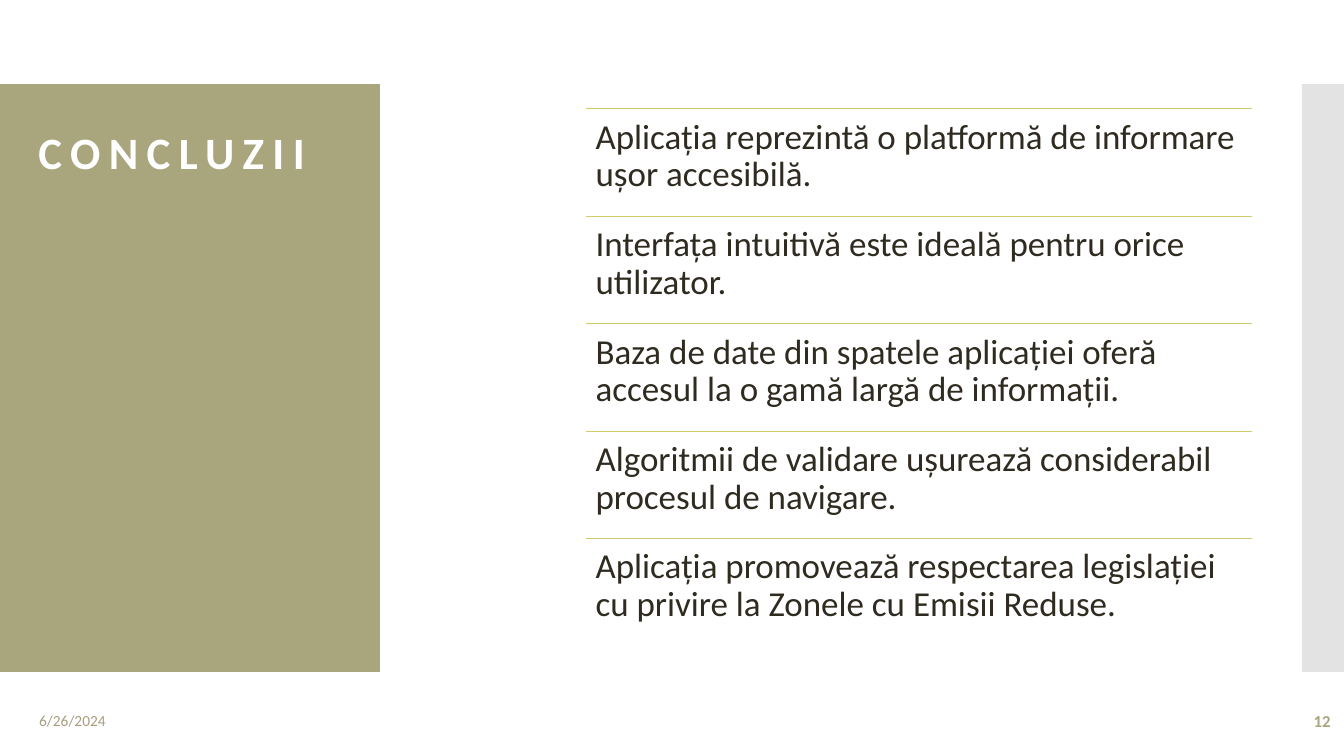
from lxml.etree import SubElement
from pptx import Presentation
from pptx.dml.color import RGBColor
from pptx.enum.shapes import MSO_CONNECTOR, MSO_SHAPE
from pptx.enum.text import MSO_ANCHOR, MSO_AUTO_SIZE, PP_ALIGN
from pptx.oxml.ns import qn
from pptx.util import Inches, Pt

TITLE = "CONCLUZII"
CONCLUSIONS = [
    "Aplicația reprezintă o platformă de informare ușor accesibilă.",
    "Interfața intuitivă este ideală pentru orice utilizator.",
    "Baza de date din spatele aplicației oferă accesul la o gamă largă de informații.",
    "Algoritmii de validare ușurează considerabil procesul de navigare.",
    "Aplicația promovează respectarea legislației cu privire la Zonele cu Emisii Reduse.",
]
DATE = "6/26/2024"
PAGE = "12"

OLIVE = RGBColor(0xA9, 0xA5, 0x7C)
GREY = RGBColor(0xC8, 0xC8, 0xC8)
SAND = RGBColor(0xA8, 0x9D, 0x7F)
RULE = RGBColor(0xD2, 0xCB, 0x6C)
INK = RGBColor(0x2F, 0x2B, 0x20)
WHITE = RGBColor(0xFF, 0xFF, 0xFF)
FONT = "Calibri"

SLIDE_W, SLIDE_H = 13.333, 7.5
BAND_TOP, BAND_H = SLIDE_H / 9, SLIDE_H * 7 / 9
TITLE_BAND_W, EDGE_W = 3.77, SLIDE_W / 32
LIST_LEFT, LIST_TOP, LIST_W = 5.81, 1.08, 6.61
ROW_H = 5.33 / len(CONCLUSIONS)
FOOTER_TOP, FOOTER_H = 6.95, 0.4


def add_band(slide, left, width, color):
    band = slide.shapes.add_shape(
        MSO_SHAPE.RECTANGLE, Inches(left), Inches(BAND_TOP), Inches(width), Inches(BAND_H))
    band.shadow.inherit = False
    band.fill.solid()
    band.fill.fore_color.rgb = color
    band.line.fill.background()
    return band


def add_rule(slide, top):
    rule = slide.shapes.add_connector(
        MSO_CONNECTOR.STRAIGHT, Inches(LIST_LEFT), Inches(top),
        Inches(LIST_LEFT + LIST_W), Inches(top))
    rule.line.color.rgb = RULE
    rule.line.width = Pt(0.85)
    SubElement(rule._element.spPr, qn("a:effectLst"))


def write(frame, text, size, color, bold=False):
    """Fill the frame with one formatted paragraph and return it."""
    frame.word_wrap = True
    frame.auto_size = MSO_AUTO_SIZE.NONE
    paragraph = frame.paragraphs[0]
    paragraph.text = text
    font = paragraph.runs[0].font
    font.name, font.size, font.bold = FONT, Pt(size), bold
    font.color.rgb = color
    return paragraph


def add_text(slide, left, top, width, height, text, size, color, bold=False):
    box = slide.shapes.add_textbox(Inches(left), Inches(top), Inches(width), Inches(height))
    return box.text_frame, write(box.text_frame, text, size, color, bold)


def add_title(slide):
    title = slide.shapes.title
    title.left, title.top = Inches(0.28), Inches(1.25)
    title.width, title.height = Inches(3.56), Inches(2.58)
    paragraph = write(title.text_frame, TITLE, 32, WHITE, True)
    title.text_frame.vertical_anchor = MSO_ANCHOR.TOP
    paragraph.alignment = PP_ALIGN.LEFT
    paragraph.line_spacing = 0.9
    paragraph.runs[0].font._element.set("spc", "600")
    # Bring the title in front of the bands
    slide.shapes._spTree.append(title._element)


def add_conclusions(slide):
    for row, conclusion in enumerate(CONCLUSIONS):
        top = LIST_TOP + row * ROW_H
        add_rule(slide, top)
        frame, paragraph = add_text(
            slide, LIST_LEFT, top, LIST_W, ROW_H, conclusion, 25, INK)
        frame.margin_left = frame.margin_right = Inches(0.1)
        frame.margin_top = frame.margin_bottom = Inches(0.1)
        paragraph.line_spacing = 0.9


def add_footer(slide):
    for left, width, text, size, color, bold, alignment in (
        (0.29, 3, DATE, 11, SAND, False, PP_ALIGN.LEFT),
        (11.63, 1.67, PAGE, 12, OLIVE, True, PP_ALIGN.RIGHT),
    ):
        frame, paragraph = add_text(
            slide, left, FOOTER_TOP, width, FOOTER_H, text, size, color, bold)
        frame.vertical_anchor = MSO_ANCHOR.MIDDLE
        paragraph.alignment = alignment
        paragraph.space_after = Pt(6)


def main():
    deck = Presentation()
    deck.slide_width, deck.slide_height = Inches(SLIDE_W), Inches(SLIDE_H)
    slide = deck.slides.add_slide(deck.slide_layouts[5])
    add_band(slide, 0, TITLE_BAND_W, OLIVE)
    edge = add_band(slide, SLIDE_W - EDGE_W, EDGE_W, GREY)
    edge_color = edge._element.spPr.find(qn("a:solidFill"))[0]
    SubElement(edge_color, qn("a:alpha"), val="50000")
    add_title(slide)
    add_footer(slide)
    add_conclusions(slide)
    deck.save("out.pptx")


if __name__ == "__main__":
    main()
